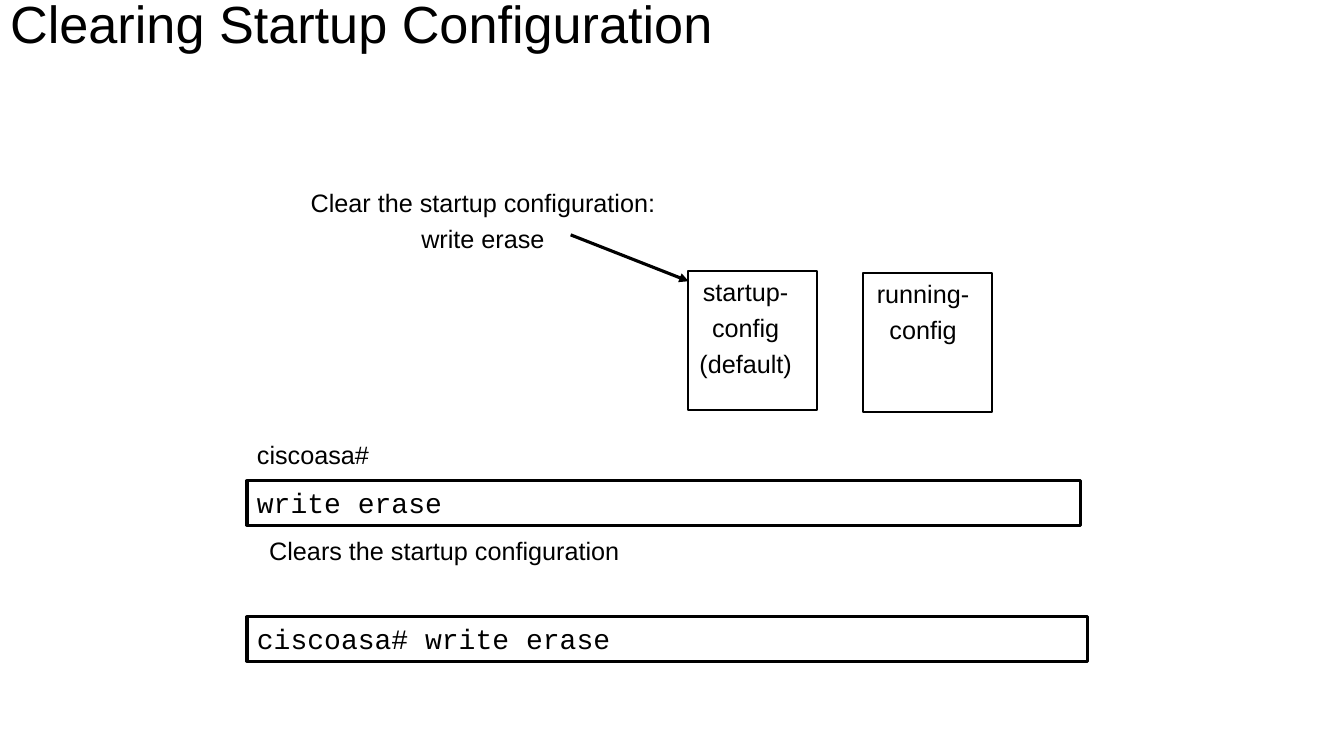
from pptx import Presentation
from pptx import util as u
from pptx.dml.color import RGBColor
from pptx.enum import shapes, text
from pptx.oxml.ns import qn
from lxml import etree


def tint(code):
    return RGBColor.from_string(code)


class Page:
    ink, paper = "000000", "FFFFFF"
    sans, mono = "Arial", "Courier New"

    def __init__(self, deck):
        self.slide = deck.slides.add_slide(deck.slide_layouts[5])

    def place(self, item, spot):
        item.left, item.top, item.width, item.height = map(u.Inches, spot)

    def letter(self, item, lines, size, font, align="LEFT", anchor="TOP",
               wrap=True, inset=(0.1, 0.05), pace=1.0):
        frame = item.text_frame
        frame.auto_size = text.MSO_AUTO_SIZE.NONE
        frame.word_wrap = wrap
        frame.vertical_anchor = getattr(text.MSO_ANCHOR, anchor)
        frame.margin_left = frame.margin_right = u.Inches(inset[0])
        frame.margin_top = frame.margin_bottom = u.Inches(inset[1])
        for n, line in enumerate(lines):
            para = frame.add_paragraph() if n else frame.paragraphs[0]
            para.alignment = getattr(text.PP_ALIGN, align)
            para.line_spacing = pace
            para.space_before = u.Pt(4.2 if n else 0)
            run = para.add_run()
            run.text = line
            run.font.size = u.Pt(size)
            run.font.name = font
            run.font.color.rgb = tint(self.ink)

    def title(self, line, spot):
        head = self.slide.shapes.title
        self.place(head, spot)
        self.letter(head, [line], 37.3, self.sans, anchor="MIDDLE", pace=0.9)

    def label(self, lines, spot, **look):
        box = self.slide.shapes.add_textbox(*map(u.Inches, spot))
        self.letter(box, lines, 18, self.sans, **look)

    def frame(self, spot, weight, fill=None):
        box = self.slide.shapes.add_shape(
            shapes.MSO_SHAPE.RECTANGLE, *map(u.Inches, spot))
        box.shadow.inherit = False
        if fill:
            box.fill.solid()
            box.fill.fore_color.rgb = tint(fill)
        else:
            box.fill.background()
        box.line.color.rgb = tint(self.ink)
        box.line.width = u.Pt(weight)
        return box

    def command(self, line, spot):
        box = self.frame(spot, 2.25, self.paper)
        self.letter(box, [line], 20, self.mono)

    def arrow(self, start, end):
        line = self.slide.shapes.add_connector(
            shapes.MSO_CONNECTOR.STRAIGHT, *map(u.Inches, start + end))
        line.line.color.rgb = tint(self.ink)
        line.line.width = u.Pt(2.25)
        props = line._element.spPr
        tip = etree.SubElement(props.find(qn("a:ln")), qn("a:tailEnd"))
        tip.set("type", "triangle")
        etree.SubElement(props, qn("a:effectLst"))


def main():
    deck = Presentation()
    deck.slide_width, deck.slide_height = u.Inches(13.33), u.Inches(7.5)
    page = Page(deck)
    page.title("Clearing Startup Configuration", (0, -0.01, 11.5, 0.55))

    left = 2.45
    page.label(["ciscoasa#"], (left, 4.31, 1.32, 0.4),
               anchor="MIDDLE", wrap=False)
    page.command("write erase", (left, 4.77, 8.27, 0.44))
    page.label(["Clears the startup configuration"], (left, 5.28, 7.25, 0.38),
               inset=(0.22, 0.05), pace=0.95)
    page.command("ciscoasa# write erase", (left, 6.12, 8.34, 0.44))

    for x, y in ((6.82, 2.69), (8.56, 2.71)):
        page.frame((x, y, 1.28, 1.38), 1.5)

    labels = (
        (["Clear the startup configuration:", "write erase"],
         (2.39, 1.82, 4.8, 0.75), True),
        (["running-", "config"], (8.61, 2.72, 1.09, 0.75), False),
        (["startup-", "config", "(default)"], (6.85, 2.7, 1.09, 1.11), False),
    )
    for lines, spot, wrap in labels:
        page.label(lines, spot, align="CENTER", wrap=wrap, inset=(0.08, 0.04))

    page.arrow((5.66, 2.33), (6.83, 2.79))
    deck.save("out.pptx")


if __name__ == "__main__":
    main()
